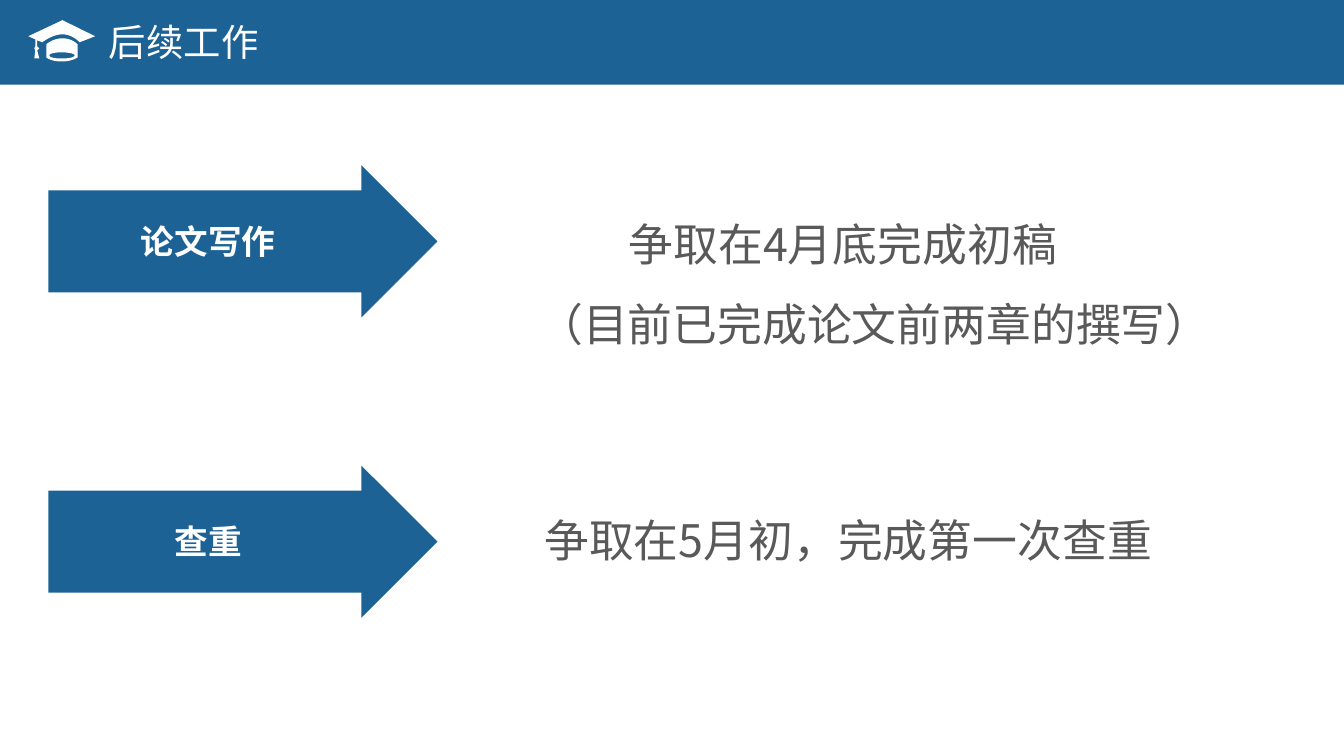
import pptx
import pptx.dml.color
import pptx.enum.shapes
import pptx.enum.text
import pptx.oxml.ns
import pptx.util
import lxml.etree

Pt = pptx.util.Pt
Color = pptx.dml.color.RGBColor
Shape = pptx.enum.shapes.MSO_SHAPE
Align = pptx.enum.text.PP_ALIGN

BLUE = Color(0x1D, 0x62, 0x95)
WHITE = Color(0xFF, 0xFF, 0xFF)
GRAY = Color(0x59, 0x59, 0x59)
FONT = "Noto Sans CJK SC"

CAP = [
    [(56.9, 30.2), (56.9, 30.2, 51.8, 24.5, 44.6, 24.5),
     (37.4, 24.5, 30.2, 30.2, 30.2, 30.2), (26.6, 28.8), (26.6, 33.1),
     (28.1, 34.6), (26.6, 36), (28.1, 41.8), (24.5, 41.8), (25.2, 36),
     (24.5, 34.6), (25.2, 33.1), (25.2, 28.1), (20.2, 25.9),
     (44.6, 14.4), (67.9, 25.9)],
    [(44.6, 27.4), (51.8, 27.4, 55.4, 31.7, 55.4, 31.7), (55.4, 41),
     (55.4, 41, 51.8, 43.9, 43.9, 43.9), (36, 43.9, 33.1, 41, 33.1, 41),
     (33.1, 31.7), (33.1, 31.7, 37.4, 27.4, 44.6, 27.4)],
    [(43.9, 41.8), (49, 41.8, 53.3, 41, 53.3, 39.6),
     (53.3, 38.2, 49, 37.4, 43.9, 37.4), (38.9, 37.4, 35.3, 38.2, 35.3, 39.6),
     (35.3, 41, 38.9, 41.8, 43.9, 41.8)],
]

STEPS = [
    (118, "论文写作", (384.5, 135.4, 487.4, 109.4), Align.JUSTIFY,
     [("争取在4月底完成初稿", 64.5), ("（目前已完成论文前两章的撰写）", 0)]),
    (332.6, "查重", (388.8, 347, 477.4, 51.1), Align.LEFT,
     [("争取在5月初，完成第一次查重", 0)]),
]


def trace(parts, steps=10):
    spots = [parts[0]]
    for part in parts[1:]:
        if len(part) == 2:
            spots.append(part)
            continue
        knots = [spots[-1], part[:2], part[2:4], part[4:]]
        for n in range(1, steps + 1):
            t = n / steps
            mix = ((1 - t) ** 3, 3 * t * (1 - t) ** 2, 3 * t * t * (1 - t), t ** 3)
            spots.append(tuple(sum(m * k[i] for m, k in zip(mix, knots)) for i in (0, 1)))
    return [(Pt(x), Pt(y)) for x, y in spots]


class Deck:
    def __init__(self, font):
        self.font = font
        self.show = pptx.Presentation()
        self.show.slide_width, self.show.slide_height = Pt(960), Pt(540)
        self.slide = self.show.slides.add_slide(self.show.slide_layouts[5])
        self.shapes = self.slide.shapes

    def paint(self, shape, color):
        shape.shadow.inherit = False
        shape.fill.solid()
        shape.fill.fore_color.rgb = color
        shape.line.fill.background()

    def block(self, kind, box, color):
        shape = self.shapes.add_shape(kind, *map(Pt, box))
        self.paint(shape, color)
        return shape

    def outline(self, loops, color):
        first, *rest = map(trace, loops)
        pen = self.shapes.build_freeform(*first[0], scale=1.0)
        pen.add_line_segments(first[1:])
        for loop in rest:
            pen.move_to(*loop[0])
            pen.add_line_segments(loop[1:])
        self.paint(pen.convert_to_shape(), color)

    def letter(self, frame, lines, size, color, align, bold=False, pitch=1.0, inset=(0, 0)):
        wide, high = map(Pt, inset)
        look = {
            "word_wrap": True, "auto_size": pptx.enum.text.MSO_AUTO_SIZE.NONE,
            "vertical_anchor": pptx.enum.text.MSO_ANCHOR.TOP,
            "margin_left": wide, "margin_right": wide,
            "margin_top": high, "margin_bottom": high,
        }
        for name, value in look.items():
            setattr(frame, name, value)
        for n, (text, indent) in enumerate(lines):
            para = frame.add_paragraph() if n else frame.paragraphs[0]
            para.alignment, para.line_spacing = align, pitch
            if indent:
                para._p.get_or_add_pPr().set("indent", str(Pt(indent)))
            run = para.add_run()
            run.text = text
            for name, value in {"name": self.font, "size": Pt(size), "bold": bold}.items():
                setattr(run.font, name, value)
            run.font.color.rgb = color
            east = lxml.etree.SubElement(run._r.get_or_add_rPr(), pptx.oxml.ns.qn("a:ea"))
            east.set("typeface", self.font)

    def text(self, box, lines, size, color, align, **more):
        shape = self.shapes.add_textbox(*map(Pt, box))
        self.letter(shape.text_frame, lines, size, color, align, **more)

    def title(self, box, text, size, color):
        shape = self.shapes.title
        for name, value in zip(("left", "top", "width", "height"), box):
            setattr(shape, name, Pt(value))
        self.letter(shape.text_frame, [(text, 0)], size, color, Align.LEFT, inset=(7.2, 3.6))
        self.shapes._spTree.append(shape._element)


def main():
    deck = Deck(FONT)
    deck.block(Shape.RECTANGLE, (0, 0, 960, 60.5), BLUE)
    deck.title((70.6, 10.1, 303.8, 39.6), "后续工作", 26.7, WHITE)
    deck.outline(CAP, WHITE)
    for top, label, box, align, lines in STEPS:
        arrow = deck.block(Shape.RIGHT_ARROW, (34.6, top, 277.9, 108.7), BLUE)
        arrow.adjustments[0] = 0.67
        arrow.adjustments[1] = 0.5
        deck.text((49.7, top + 39.6, 198, 28.8), [(label, 0)], 24, WHITE, Align.CENTER, bold=True)
        deck.text(box, lines, 32, GRAY, align, pitch=1.5)
    deck.show.save("out.pptx")


if __name__ == "__main__":
    main()
